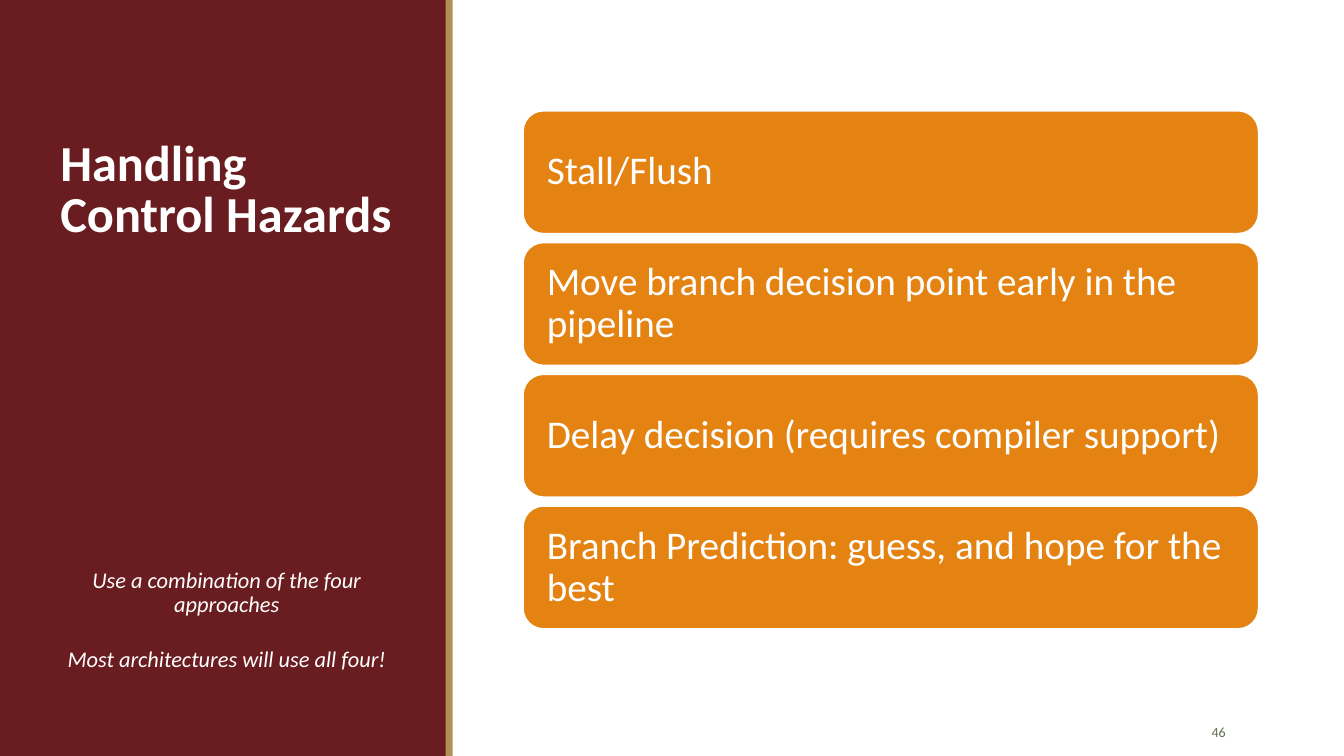
import pptx
import pptx.dml.color
import pptx.enum.shapes
import pptx.enum.text
import pptx.util

Cm, Pt = pptx.util.Cm, pptx.util.Pt
SHAPE = pptx.enum.shapes.MSO_SHAPE
ALIGN = pptx.enum.text.PP_ALIGN
ANCHOR = pptx.enum.text.MSO_ANCHOR

APPROACHES = [
    "Stall/Flush",
    "Move branch decision point early in the pipeline",
    "Delay decision (requires compiler support)",
    "Branch Prediction: guess, and hope for the best",
]
REMARKS = ["Use a combination of the four approaches", "Most architectures will use all four!"]

TITLE_FONT = {"name": "Calibri", "size": Pt(36), "bold": True}
REMARK_FONT = {"name": "Calibri", "size": Pt(16), "italic": True}
CARD_FONT = {"name": "Calibri", "size": Pt(28)}
NUMBER_FONT = {"name": "Calibri", "size": Pt(10)}


def colour(value):
    """Turn a hex string into a colour."""
    return pptx.dml.color.RGBColor.from_string(value)


def apply(target, formats):
    """Set every attribute of the target named in the formats."""
    for name, value in formats.items():
        setattr(target, name, value)


def place(shape, box):
    """Move a shape to a box of left, top, width and height in cm."""
    apply(shape, dict(zip(("left", "top", "width", "height"), map(Cm, box))))


def write(shape, lines, font, hue, layout, anchor=ANCHOR.MIDDLE, inset=(0.25, 0.13)):
    """Fill a shape with formatted paragraphs and return its text frame."""
    frame = shape.text_frame
    across, down = map(Cm, inset)
    apply(frame, {
        "text": "\n".join(lines), "word_wrap": True, "vertical_anchor": anchor,
        "auto_size": pptx.enum.text.MSO_AUTO_SIZE.NONE,
        "margin_left": across, "margin_right": across,
        "margin_top": down, "margin_bottom": down,
    })
    for para in frame.paragraphs:
        apply(para, layout)
        for span in para.runs:
            apply(span.font, font)
            span.font.color.rgb = colour(hue)
    return frame


def add_block(page, kind, box, fill):
    """Add a borderless filled shape without a shadow."""
    block = page.shapes.add_shape(kind, *map(Cm, box))
    block.shadow.inherit = False
    block.fill.solid()
    block.fill.fore_color.rgb = colour(fill)
    block.line.fill.background()
    return block


def add_side_panel(page, box):
    """Build the dark panel with its gold edge, title and remarks."""
    left, top, width, height = box
    title = page.shapes.title
    for part, fill in (
        (box, "691D20"),
        ((left + width - 0.02, top, 0.18, height), "B1915A"),
    ):
        title.element.addprevious(add_block(page, SHAPE.RECTANGLE, part, fill).element)

    place(title, (left + 1.27, top + 1.65, 8.89, 6.35))
    frame = write(title, ["Handling Control Hazards"], TITLE_FONT, "FFFFFF",
                  {"alignment": ALIGN.LEFT, "line_spacing": 0.85})
    frame.paragraphs[0].runs[0].font.element.set("spc", "-50") if hasattr(
        frame.paragraphs[0].runs[0].font, "element") else None

    remarks = page.shapes.add_textbox(*map(Cm, (left + 1.27, top + 14.22, 8.89, 3.3)))
    frame = write(remarks, REMARKS, REMARK_FONT, "FFFFFF",
                  {"alignment": ALIGN.CENTER, "line_spacing": 0.9, "space_after": Pt(2)},
                  ANCHOR.TOP)
    frame.paragraphs[1].space_before = Pt(19.4)


def add_approach_cards(page, box, gap=0.22):
    """Stack one rounded card for each approach evenly in the box."""
    left, top, width, height = box
    pitch = (height + gap) / len(APPROACHES)
    for index, approach in enumerate(APPROACHES):
        card = add_block(page, SHAPE.ROUNDED_RECTANGLE,
                         (left, top + index * pitch, width, pitch - gap), "E48312")
        card.line.color.rgb = colour("FFFFFF")
        card.line.width = Pt(1.25)
        write(card, [approach], CARD_FONT, "FFFFFF",
              {"alignment": ALIGN.LEFT, "line_spacing": 0.9}, inset=(0.45, 0.45))


def add_page_number(page, box):
    """Write the page number at the right of its box."""
    number = page.shapes.add_textbox(*map(Cm, box))
    write(number, ["46"], NUMBER_FONT, "637052", {"alignment": ALIGN.RIGHT})


def main():
    """Build the slide and save the deck."""
    deck = pptx.Presentation()
    apply(deck, {"slide_width": Cm(33.87), "slide_height": Cm(19.05)})
    page = deck.slides.add_slide(deck.slide_layouts[5])
    add_side_panel(page, (0, 0, 11.25, 19.05))
    add_approach_cards(page, (13.18, 2.79, 18.54, 13.06))
    add_page_number(page, (27.51, 17.93, 3.63, 1.02))
    deck.save("out.pptx")


if __name__ == "__main__":
    main()
